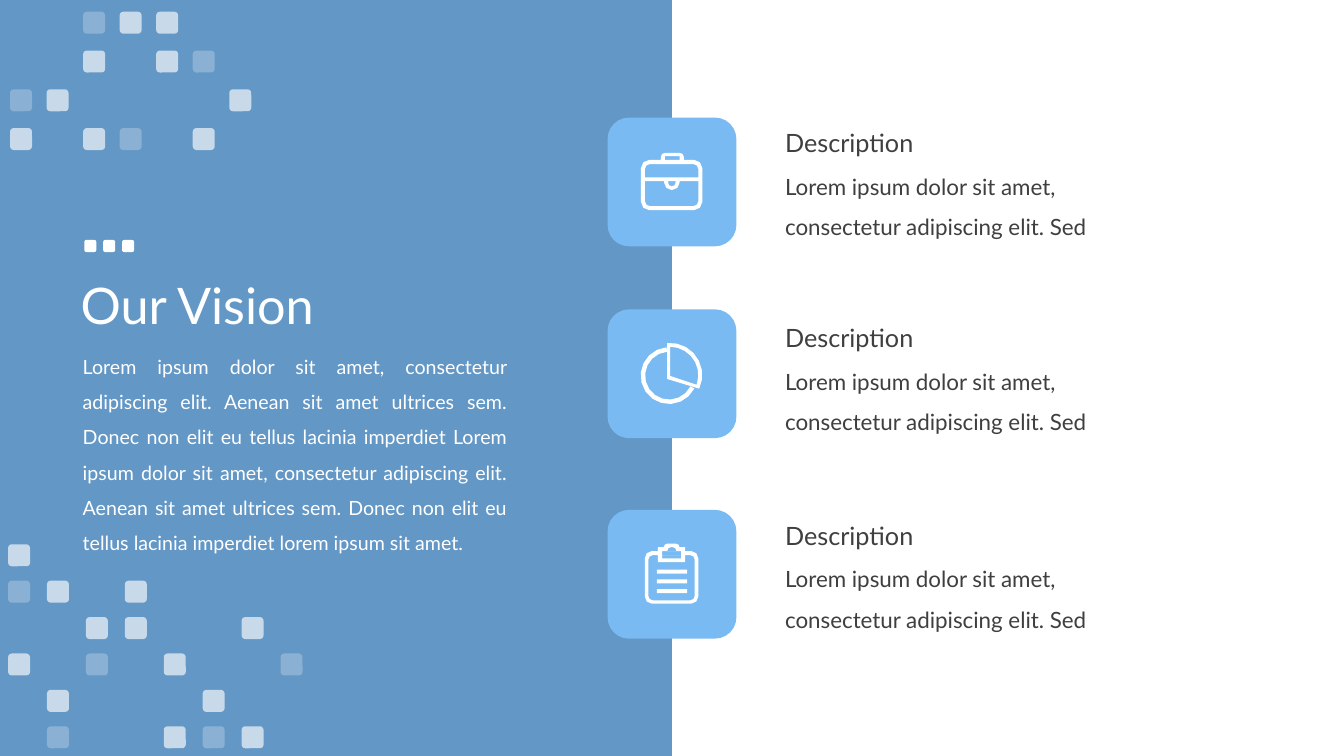
from math import cos, radians, sin

from lxml.etree import SubElement
from pptx import Presentation
from pptx.dml.color import RGBColor
from pptx.enum.shapes import MSO_SHAPE as Shape
from pptx.enum.text import MSO_ANCHOR as Anchor, MSO_AUTO_SIZE as AutoSize, PP_ALIGN as Align
from pptx.oxml.ns import qn
from pptx.util import Pt

WHITE, PANEL_BLUE, TILE_BLUE, INK = "FFFFFF", "1060A6", "7ABAF2", "3F3F3F"
TILE = 92
VISION_TEXT = (
    "Lorem ipsum dolor sit amet, consectetur adipiscing elit. Aenean sit amet ultrices sem. "
    "Donec non elit eu tellus lacinia imperdiet Lorem ipsum dolor sit amet, consectetur "
    "adipiscing elit. Aenean sit amet ultrices sem. Donec non elit eu tellus lacinia imperdiet "
    "lorem ipsum sit amet."
)
ITEM_TEXT = "Lorem ipsum dolor sit amet, consectetur adipiscing elit. Sed"
# "#" is a strong square, "o" a faint one
TOP_MOSAIC = ["  o##", "  # #o", "o#    #", "# #o #"]
BOTTOM_MOSAIC = ["#", "o# #", "  ##  #", "# o #  o", " #   #", " o  #o#"]


def paint(shape, color, opacity=100):
    shape.shadow.inherit = False
    shape.line.fill.background()
    shape.fill.solid()
    shape.fill.fore_color.rgb = RGBColor.from_string(color)
    if opacity < 100:
        solid = shape.element.spPr.find(qn("a:solidFill"))
        SubElement(solid[0], qn("a:alpha"), val=str(opacity * 1000))


def add_block(shapes, kind, left, top, width, height, color, opacity=100):
    shape = shapes.add_shape(kind, Pt(left), Pt(top), Pt(width), Pt(height))
    paint(shape, color, opacity)
    return shape


def format_text(frame, text, size, color, spacing=1.0, align=Align.LEFT):
    frame.word_wrap = True
    frame.text = text
    paragraph = frame.paragraphs[0]
    paragraph.alignment = align
    paragraph.line_spacing = spacing
    paragraph.font.name = "Lato"
    paragraph.font.size = Pt(size)
    paragraph.font.color.rgb = RGBColor.from_string(color)


def add_text(slide, left, top, width, height, *style):
    box = slide.shapes.add_textbox(Pt(left), Pt(top), Pt(width), Pt(height))
    format_text(box.text_frame, *style)
    box.text_frame.auto_size = AutoSize.SHAPE_TO_FIT_TEXT


def arc(x, y, radius, start, end, steps=2):
    if not radius:
        return [(x, y)]
    angles = [radians(start + (end - start) * i / steps) for i in range(steps + 1)]
    return [(x + radius * cos(a), y + radius * sin(a)) for a in angles]


def rounded(left, top, right, bottom, top_radius=0, bottom_radius=0):
    """Outline of a rectangle with its own radius for the top and bottom corners."""
    t, b = top_radius, bottom_radius
    return (arc(left + t, top + t, t, 180, 270) + arc(right - t, top + t, t, 270, 360)
            + arc(right - b, bottom - b, b, 0, 90) + arc(left + b, bottom - b, b, 90, 180))


def briefcase_outlines():
    return [
        rounded(23.8, 30.2, 67.7, 66.2, 6, 6),
        rounded(26.7, 33.2, 64.8, 42.8, 3.5),
        rounded(26.7, 45.4, 64.8, 63.3, 0, 3.5),
        rounded(38, 25.2, 54.5, 30.2, 3),
        rounded(41, 27.6, 51.5, 30.2),
        rounded(40.3, 45.4, 51.5, 51.8, 0, 5.5),
        rounded(43.2, 45.4, 48.6, 49.2, 0, 2.7),
    ]


def pie_outlines():
    return [
        arc(43.9, 47.3, 20.3, -95, -333, 12) + arc(43.9, 47.3, 17.1, -333, -95, 12),
        [(42.5, 49.7)] + arc(44.6, 46.9, 23, -95, 25, 7),
        [(44.6, 47.5)] + arc(44.6, 46.9, 20.2, -90, 20, 7),
    ]


def clipboard_outlines():
    bars = [rounded(35.3, top, 56.9, top + 2.8) for top in (42.7, 49.7, 56.7)]
    return bars + [
        rounded(26.6, 29.5, 64.8, 67, 5, 5),
        rounded(29.2, 32.4, 62.2, 64.6, 3, 3),
        rounded(36, 26.6, 55.4, 29.5),
        rounded(36, 32.4, 55.4, 37.4),
        rounded(38.9, 29.5, 52.6, 34.6),
        rounded(40.2, 24.2, 51.4, 26.6, 2.4),
        rounded(42.6, 26.6, 49.2, 29.5, 2.8),
    ]


def add_icon(slide, left, top, outlines):
    """Fill the outlines as one shape; an outline inside another cuts a hole."""
    contours = [[(Pt(left + x), Pt(top + y)) for x, y in outline] for outline in outlines]
    builder = slide.shapes.build_freeform(*contours[0][0])
    for index, contour in enumerate(contours):
        if index:
            builder.move_to(*contour[0])
        builder.add_line_segments(contour[1:], close=True)
    paint(builder.convert_to_shape(), WHITE)


def add_mosaic(slide, left, top, column_step, row_step, pattern):
    group = slide.shapes.add_group_shape()
    for row, marks in enumerate(pattern):
        for column, mark in enumerate(marks):
            if mark != " ":
                add_block(group.shapes, Shape.ROUNDED_RECTANGLE, left + column * column_step,
                          top + row * row_step, 15.7, 15.7, WHITE, 65 if mark == "#" else 25)


def add_vision_panel(slide, left, top, width, height):
    panel = add_block(slide.shapes, Shape.RECTANGLE, left, top, width, height, PANEL_BLUE, 65)
    title = slide.shapes.title
    title.element.addprevious(panel.element)
    title.left, title.top = Pt(left + 50.4), Pt(top + 159.8)
    title.width, title.height = Pt(828), Pt(120.2)
    format_text(title.text_frame, "Our Vision", 36, WHITE, 0.9)
    title.text_frame.vertical_anchor = Anchor.MIDDLE
    add_text(slide, left + 52, top + 241.5, 317.5, 156.2,
             VISION_TEXT, 14, WHITE, 1.5, Align.JUSTIFY)
    dots = slide.shapes.add_group_shape()
    for index in range(3):
        add_block(dots.shapes, Shape.ROUNDED_RECTANGLE, left + 60.2 + index * 13.5, top + 171.4,
                  8.6, 8.6, WHITE)
    add_mosaic(slide, left + 7.2, top + 8.4, 26.1, 27.7, TOP_MOSAIC)
    add_mosaic(slide, left + 5.8, top + 388.8, 27.8, 26, BOTTOM_MOSAIC)


def add_item(slide, left, top, text_top, outlines):
    add_block(slide.shapes, Shape.ROUNDED_RECTANGLE, left, top, TILE, TILE, TILE_BLUE)
    add_icon(slide, left, top, outlines)
    add_text(slide, left + 119.7, text_top + 23, 286.6, 61.9, ITEM_TEXT, 16, INK, 1.5)
    add_text(slide, left + 119.7, text_top, 169.2, 28.8, "Description", 18, INK)


def main():
    presentation = Presentation()
    presentation.slide_width, presentation.slide_height = Pt(960), Pt(540)
    slide = presentation.slides.add_slide(presentation.slide_layouts.get_by_name("Title Only"))
    add_vision_panel(slide, 0, 0, 480, 540)
    add_item(slide, 434, 84, 87.5, briefcase_outlines())
    add_item(slide, 434, 221, 226.8, pie_outlines())
    add_item(slide, 434, 364.2, 367.9, clipboard_outlines())
    presentation.save("out.pptx")


if __name__ == "__main__":
    main()
